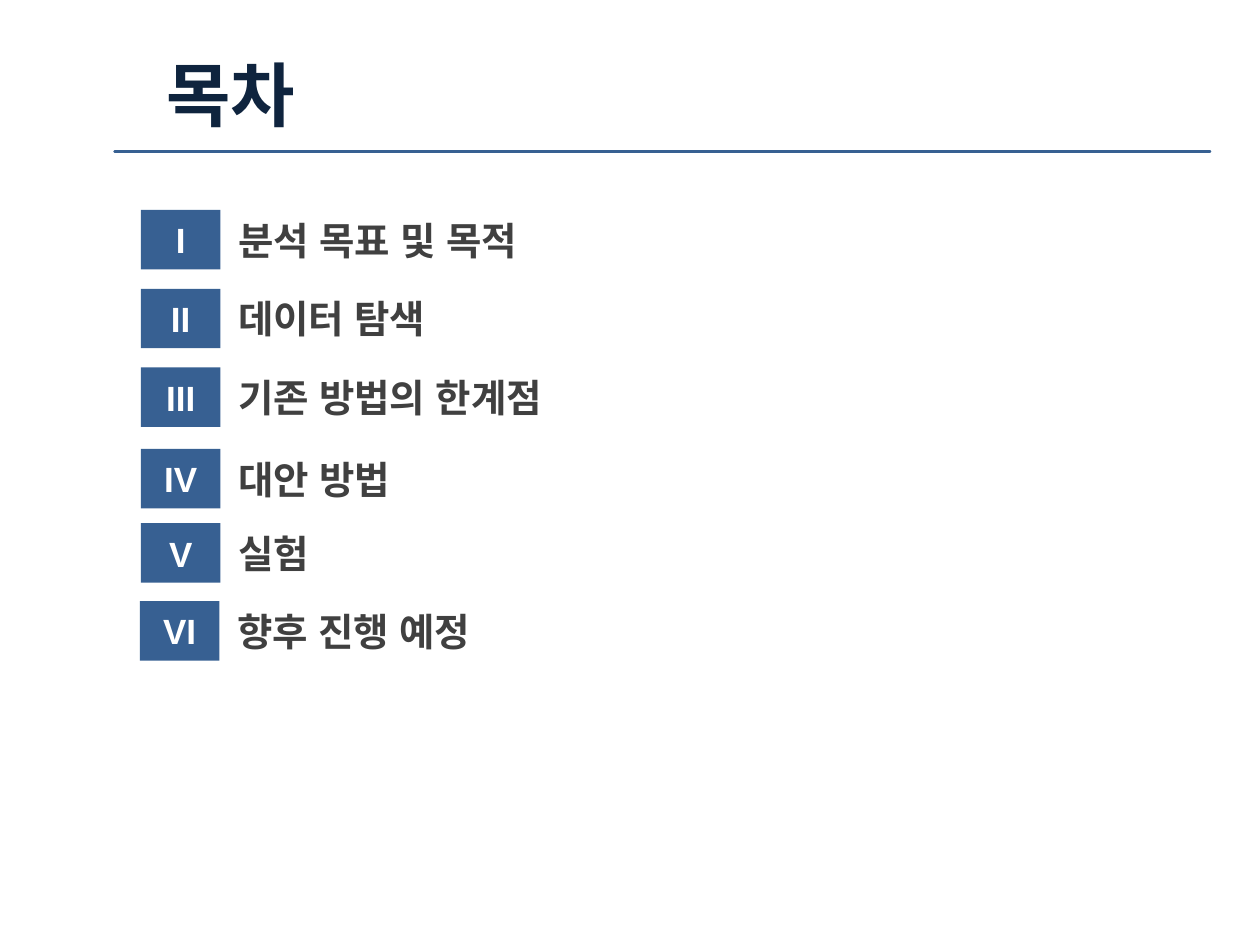
from dataclasses import dataclass

from lxml.etree import SubElement
from pptx import Presentation
from pptx.dml.color import RGBColor
from pptx.enum.shapes import MSO_CONNECTOR, MSO_SHAPE
from pptx.enum.text import MSO_ANCHOR, PP_ALIGN
from pptx.oxml.ns import qn
from pptx.util import Pt


@dataclass(frozen=True)
class Theme:
    navy: str = "0F243E"
    blue: str = "376092"
    gray: str = "404040"
    white: str = "FFFFFF"
    head: int = 40
    item: int = 22
    mark: int = 20
    face: str = "Arial"
    hangul: str = "Noto Sans CJK KR"


THEME = Theme()
ITEMS = [
    ("I", "분석 목표 및 목적", 80.6, 120),
    ("II", "데이터 탐색", 80.6, 165),
    ("III", "기존 방법의 한계점", 80.6, 210),
    ("IV", "대안 방법", 80.6, 256.5),
    ("V", "실험", 80.6, 299),
    ("VI", "향후 진행 예정", 80, 343.5),
]
MARK_W, ROW_H, TEXT_W, STEP = 45.4, 34, 506, 52.6
INSET = {f"margin_{side}": Pt(2.9) for side in ("left", "right", "top", "bottom")}
MIDDLE = {"vertical_anchor": MSO_ANCHOR.MIDDLE, **INSET}


def apply(item, values):
    for name, value in values.items():
        setattr(item, name, value)


def write(shape, text, size, color, face, frame, align=PP_ALIGN.LEFT):
    box = shape.text_frame
    apply(box, {"word_wrap": True, **frame})
    par = box.paragraphs[0]
    par.alignment = align
    run = par.add_run()
    run.text = text
    apply(run.font, {"size": Pt(size), "bold": True, "name": face})
    run.font.color.rgb = RGBColor.from_string(color)
    SubElement(run.font._element, qn("a:ea")).set("typeface", face)


def add_text(slide, area, *style):
    box = slide.shapes.add_textbox(*map(Pt, area))
    write(box, *style)


def add_mark(slide, area, text):
    mark = slide.shapes.add_shape(MSO_SHAPE.RECTANGLE, *map(Pt, area))
    mark.shadow.inherit = False
    mark.fill.solid()
    mark.fill.fore_color.rgb = RGBColor.from_string(THEME.blue)
    mark.line.fill.background()
    write(mark, text, THEME.mark, THEME.white, THEME.face, MIDDLE, PP_ALIGN.CENTER)


def add_rule(slide, left, right, top):
    rule = slide.shapes.add_connector(
        MSO_CONNECTOR.STRAIGHT, Pt(left), Pt(top), Pt(right), Pt(top)
    )
    rule.line.width = Pt(1.5)
    rule.line.color.rgb = RGBColor.from_string(THEME.blue)
    props = rule._element.spPr
    props.find(qn("a:ln")).set("cap", "rnd")
    SubElement(props, qn("a:effectLst"))


def main():
    deck = Presentation()
    apply(deck, {"slide_width": Pt(720), "slide_height": Pt(540)})
    slide = deck.slides.add_slide(deck.slide_layouts[6])
    add_text(slide, (88, 26, 632, 55.5), "목차", THEME.head, THEME.navy, THEME.hangul, {})
    add_rule(slide, 65.5, 691.5, 86.5)
    for mark, text, left, top in ITEMS:
        add_mark(slide, (left, top, MARK_W, ROW_H), mark)
        add_text(slide, (left + STEP, top, TEXT_W, ROW_H),
                 text, THEME.item, THEME.gray, THEME.face, MIDDLE)
    deck.save("out.pptx")


if __name__ == "__main__":
    main()
